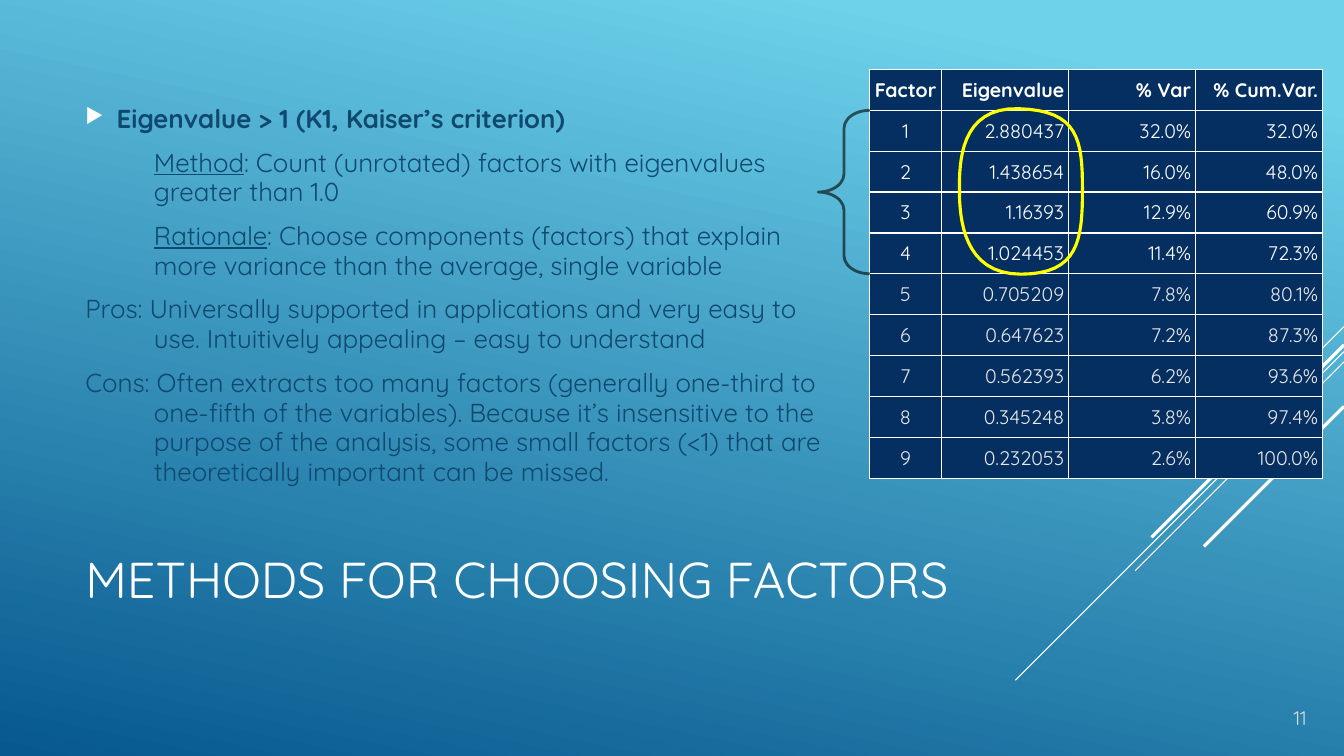
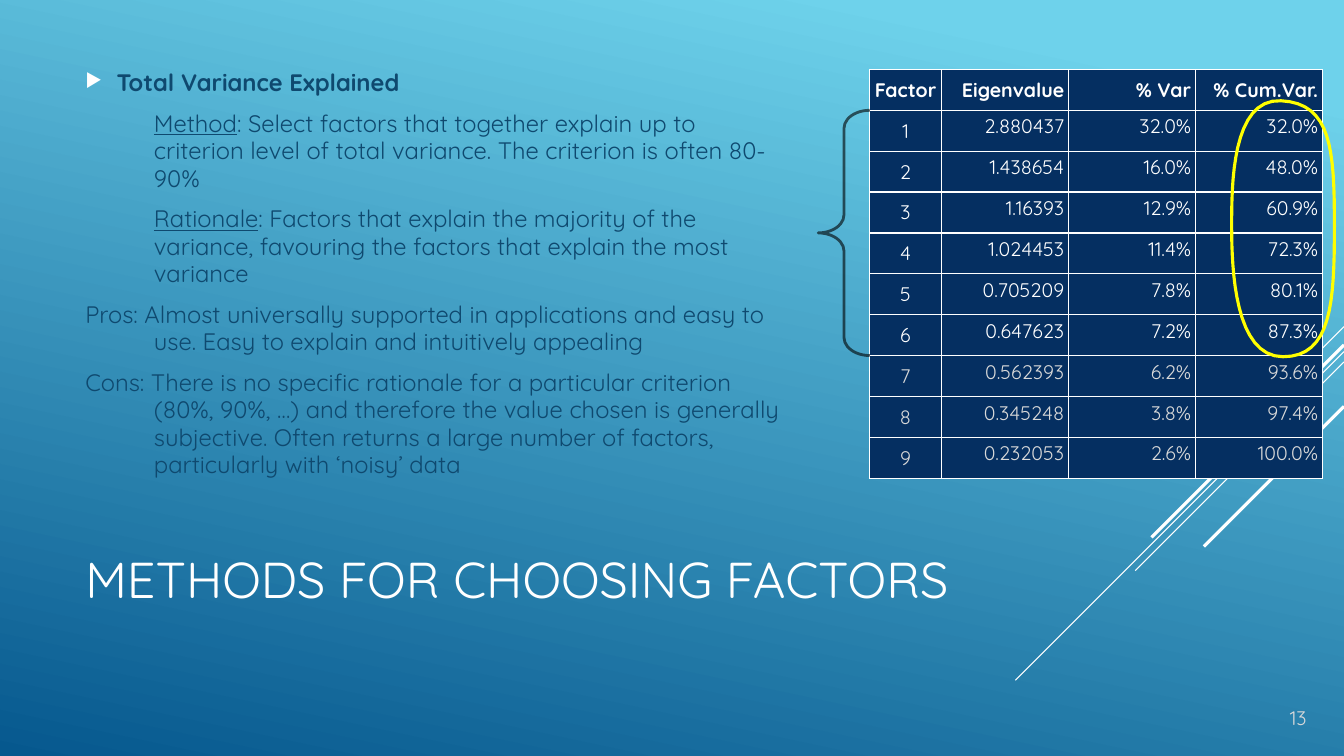
import pptx
import pptx.util
import pptx.dml.color
import pptx.enum.shapes
import pptx.enum.text
import pptx.oxml
import pptx.oxml.ns
import lxml.etree

Cm = pptx.util.Cm
Pt = pptx.util.Pt
ALIGN = pptx.enum.text.PP_ALIGN
ANCHOR = pptx.enum.text.MSO_ANCHOR

THEME = {
    "font": "Quicksand",
    "sky": "6ED2EB", "deep": "06588E", "white": "FFFFFF", "ink": "0F496F",
    "navy": "052F61", "yellow": "FFFF00", "black": "000000", "number": "D9D9D9",
    "title_size": 36, "table_size": 14, "number_size": 14,
    "thin": 0.75, "border": 1, "brace": 2, "bold": 2.25,
}

TITLE = "METHODS FOR CHOOSING FACTORS"

HEADER = ("Factor", "Eigenvalue", "% Var", "% Cum.Var.")
FACTORS = [
    ("1", "2.880437", "32.0%", "32.0%"),
    ("2", "1.438654", "16.0%", "48.0%"),
    ("3", "1.16393", "12.9%", "60.9%"),
    ("4", "1.024453", "11.4%", "72.3%"),
    ("5", "0.705209", "7.8%", "80.1%"),
    ("6", "0.647623", "7.2%", "87.3%"),
    ("7", "0.562393", "6.2%", "93.6%"),
    ("8", "0.345248", "3.8%", "97.4%"),
    ("9", "0.232053", "2.6%", "100.0%"),
]

SLIDES = [
    {
        "number": "11", "size": 18.5, "body": (1.9, 1.9, 19.71, 11.13),
        "kept": 4, "faded": "E8E8E8", "value_anchor": ANCHOR.MIDDLE,
        "loop": (24.18, 2.74, 3.1, 4.17),
        "heading": "Eigenvalue > 1 (K1, Kaiser’s criterion)",
        "details": [
            ("Method", ": Count (unrotated) factors with eigenvalues greater than 1.0"),
            ("Rationale", ": Choose components (factors) that explain more variance "
                          "than the average, single variable"),
        ],
        "verdicts": [
            "Pros: Universally supported in applications and very easy to use. "
            "Intuitively appealing – easy to understand",
            "Cons: Often extracts too many factors (generally one-third to one-fifth "
            "of the variables). Because it’s insensitive to the purpose of the analysis, "
            "some small factors (<1) that are theoretically important can be missed.",
        ],
    },
    {
        "number": "13", "size": 17, "body": (1.9, 1.9, 18.08, 10.03),
        "kept": 6, "faded": "D9D9D9", "value_anchor": ANCHOR.TOP,
        "loop": (31.04, 2.54, 2.59, 6.45),
        "heading": "Total Variance Explained",
        "details": [
            ("Method", ": Select factors that together explain up to criterion level of "
                       "total variance. The criterion is often 80-90%"),
            ("Rationale", ": Factors that explain the majority of the variance, favouring "
                          "the factors that explain the most variance"),
        ],
        "verdicts": [
            "Pros: Almost universally supported in applications and easy to use. "
            "Easy to explain and intuitively appealing",
            "Cons: There is no specific rationale for a particular criterion "
            "(80%, 90%, …) and therefore the value chosen is generally subjective. "
            "Often returns a large number of factors, particularly with ‘noisy’ data",
        ],
    },
]

SLIDE_WIDTH, SLIDE_HEIGHT = 33.87, 19.05
TITLE_BOX = (1.9, 12.47, 23.7, 4.19)
NUMBER_BOX = (30, 16.66, 3.18, 1.85)
TABLE_LEFT, TABLE_TOP, ROW_HEIGHT = 21.92, 1.75, 1.03
COLUMNS = (1.8, 3.2, 3.2, 3.2)
CELL_INSET = 0.1
BRACE_WIDTH = 1.3
BULLET_INDENT, TEXT_INDENT = 0.79, 1.73
DIAGONALS = [
    (8.23, 2.54, "thin"), (8.86, 8.28, "thin"), (9.12, 5.26, "thin"),
    (8.69, 4.85, "bold"), (10.24, 3.53, "bold"),
]
LOOP_CURVES = [
    ((0, 0.49), (0, 0.33), (0, -0.01), (0.48, 0)),
    ((0.48, 0), (0.97, 0.01), (1, 0.19), (1, 0.49)),
    ((1, 0.49), (1, 0.79), (0.97, 1), (0.5, 1)),
    ((0.5, 1), (0.03, 1), (0, 0.66), (0, 0.49)),
]
CURVE_STEPS = 16


def color(name):
    return pptx.dml.color.RGBColor.from_string(THEME.get(name, name))


def lengths(box):
    return [Cm(value) for value in box]


def add_element(parent, tag, **attributes):
    element = lxml.etree.SubElement(parent, pptx.oxml.ns.qn(tag))
    for name, value in attributes.items():
        element.set(name, str(value))
    return element


def set_line(item, color_name, width_name):
    item.line.color.rgb = color(color_name)
    item.line.width = Pt(THEME[width_name])


def add_span(para, text, size, color_name, bold=False, underline=False):
    span = para.add_run()
    span.text = text
    span.font.name = THEME["font"]
    span.font.size = Pt(size)
    span.font.bold = bold
    span.font.underline = underline
    span.font.color.rgb = color(color_name)


def add_box(page, box, anchor):
    frame = page.shapes.add_textbox(*lengths(box)).text_frame
    frame.word_wrap = True
    frame.vertical_anchor = anchor
    return frame


def paint_background(page):
    fill = page.background.fill
    fill.gradient()
    fill.gradient_angle = 258
    for stop, name, position in zip(fill.gradient_stops, ("sky", "deep"), (0.1, 1)):
        stop.color.rgb = color(name)
        stop.position = position


def add_diagonals(page):
    for top, run, width_name in DIAGONALS:
        line = page.shapes.add_connector(
            pptx.enum.shapes.MSO_CONNECTOR.STRAIGHT,
            *lengths((SLIDE_WIDTH, top, SLIDE_WIDTH - run, top + run)))
        set_line(line, "white", width_name)
        add_element(line._element.spPr, "a:effectLst")


def add_body(page, content):
    frame = add_box(page, content["body"], ANCHOR.MIDDLE)
    size = content["size"]
    rows = [(BULLET_INDENT, -BULLET_INDENT, [(content["heading"], True, False)])]
    for label, text in content["details"]:
        rows.append((TEXT_INDENT, 0, [(label, False, True), (text, False, False)]))
    for text in content["verdicts"]:
        rows.append((TEXT_INDENT, -TEXT_INDENT, [(text, False, False)]))
    for index, (margin, indent, spans) in enumerate(rows):
        para = frame.paragraphs[0] if index == 0 else frame.add_paragraph()
        para.line_spacing = 0.96
        para.space_before = Pt(0.2 * size)
        para.space_after = Pt(6)
        properties = para._p.get_or_add_pPr()
        properties.set("marL", str(Cm(margin)))
        properties.set("indent", str(Cm(indent)))
        if index == 0:
            bullet_color = add_element(properties, "a:buClr")
            add_element(bullet_color, "a:srgbClr", val=THEME["white"])
            add_element(properties, "a:buSzPct", val=80000)
            add_element(properties, "a:buChar", char="▶")
        for text, bold, underline in spans:
            add_span(para, text, size, "ink", bold, underline)


def style_cell(cell):
    properties = cell._tc.get_or_add_tcPr()
    for side in ("a:lnL", "a:lnR", "a:lnT", "a:lnB"):
        border = add_element(properties, side, w=Pt(THEME["border"]))
        add_element(add_element(border, "a:solidFill"), "a:srgbClr", val=THEME["white"])
    cell.fill.solid()
    cell.fill.fore_color.rgb = color("navy")
    cell.margin_left = cell.margin_right = Cm(CELL_INSET)
    cell.margin_top = cell.margin_bottom = Cm(CELL_INSET)


def add_factor_table(page, content):
    rows = [HEADER] + FACTORS
    table = page.shapes.add_table(
        len(rows), len(COLUMNS),
        *lengths((TABLE_LEFT, TABLE_TOP, sum(COLUMNS), ROW_HEIGHT * len(rows)))).table
    table.horz_banding = False
    for column, width in zip(table.columns, COLUMNS):
        column.width = Cm(width)
    for row_index, values in enumerate(rows):
        table.rows[row_index].height = Cm(ROW_HEIGHT)
        is_header = row_index == 0
        text_color = "white" if row_index <= content["kept"] else content["faded"]
        for column_index, text in enumerate(values):
            cell = table.cell(row_index, column_index)
            style_cell(cell)
            is_value = column_index > 0 and not is_header
            cell.vertical_anchor = content["value_anchor"] if is_value else ANCHOR.MIDDLE
            para = cell.text_frame.paragraphs[0]
            para.alignment = ALIGN.RIGHT if column_index else ALIGN.CENTER
            add_span(para, text, THEME["table_size"], text_color, is_header)


def add_brace(page, kept):
    brace = page.shapes.add_shape(
        pptx.enum.shapes.MSO_SHAPE.LEFT_BRACE,
        *lengths((TABLE_LEFT - BRACE_WIDTH, TABLE_TOP + ROW_HEIGHT,
                  BRACE_WIDTH, ROW_HEIGHT * kept)))
    brace.adjustments[0] = 0.35
    brace.shadow.inherit = False
    brace.fill.background()
    set_line(brace, "black", "brace")
    for tone in brace._element.spPr.iter(pptx.oxml.ns.qn("a:srgbClr")):
        add_element(tone, "a:alpha", val=60000)


def curve_point(curve, t):
    weights = ((1 - t) ** 3, 3 * t * (1 - t) ** 2, 3 * t ** 2 * (1 - t), t ** 3)
    return [sum(w * point[axis] for w, point in zip(weights, curve)) for axis in (0, 1)]


def add_loop(page, box):
    left, top, width, height = box
    points = []
    for curve in LOOP_CURVES:
        for step in range(CURVE_STEPS):
            x, y = curve_point(curve, step / CURVE_STEPS)
            points.append((Cm(left + x * width), Cm(top + y * height)))
    builder = page.shapes.build_freeform(*points[0])
    builder.add_line_segments(points[1:], close=True)
    loop = builder.convert_to_shape()
    loop.shadow.inherit = False
    loop.fill.background()
    set_line(loop, "yellow", "bold")


def add_page(deck, content):
    page = deck.slides.add_slide(deck.slide_layouts[6])
    paint_background(page)
    add_diagonals(page)
    title = add_box(page, TITLE_BOX, ANCHOR.MIDDLE).paragraphs[0]
    add_span(title, TITLE, THEME["title_size"], "white")
    add_body(page, content)
    add_factor_table(page, content)
    add_brace(page, content["kept"])
    number = add_box(page, NUMBER_BOX, ANCHOR.BOTTOM).paragraphs[0]
    number.alignment = ALIGN.RIGHT
    add_span(number, content["number"], THEME["number_size"], "number")
    add_loop(page, content["loop"])


deck = pptx.Presentation()
deck.slide_width, deck.slide_height = Cm(SLIDE_WIDTH), Cm(SLIDE_HEIGHT)
for content in SLIDES:
    add_page(deck, content)
deck.save("out.pptx")
